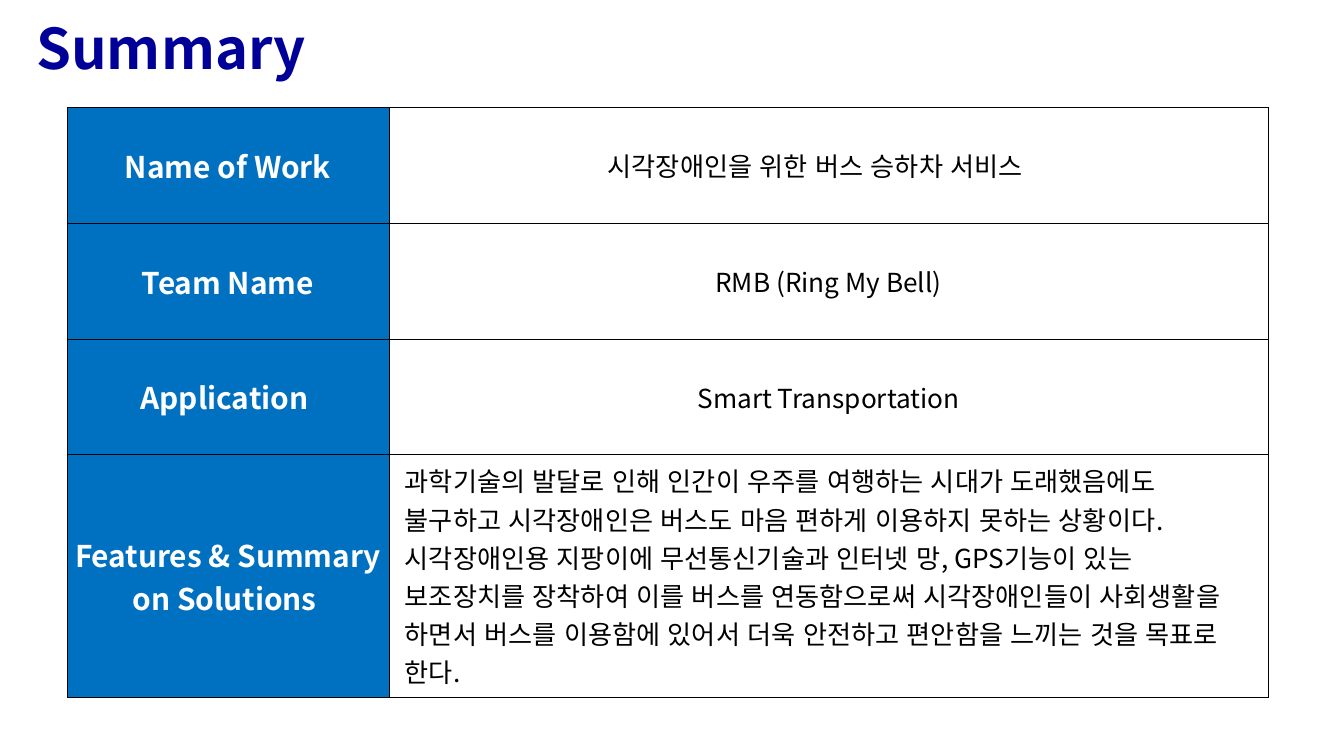
from dataclasses import dataclass
from lxml.etree import SubElement
from pptx import Presentation
from pptx.dml.color import RGBColor
from pptx.enum.lang import MSO_LANGUAGE_ID
from pptx.enum.text import MSO_ANCHOR, MSO_AUTO_SIZE, PP_ALIGN
from pptx.oxml import parse_xml
from pptx.oxml.ns import nsdecls, qn
from pptx.util import Inches, Pt


@dataclass(frozen=True)
class Theme:
    title: str = "000099"
    label: str = "0070C0"
    light: str = "FFFFFF"
    dark: str = "000000"
    title_font: str = "Noto Sans CJK SC"
    body_font: str = "Noto Sans CJK KR"
    title_size: int = 30
    label_size: int = 16
    body_size: int = 14
    border: float = 0.23


theme = Theme()


def style(par, face, size, color, bold=False):
    """Format every run, with the same face for Latin and Korean text."""
    for run in par.runs:
        font = run.font
        font.name, font.size, font.bold = face, Pt(size), bold
        font.color.rgb = RGBColor.from_string(color)
        font.language_id = MSO_LANGUAGE_ID.KOREAN
        SubElement(font._element, qn("a:ea")).set("typeface", face)


def fill_cell(cell, text, back, color, size, bold, align, side):
    cell.text_frame.text = text
    cell.vertical_anchor = MSO_ANCHOR.MIDDLE
    cell.margin_left = cell.margin_right = Inches(side)
    cell.margin_top = cell.margin_bottom = Inches(0.05)
    for par in cell.text_frame.paragraphs:
        par.alignment = align
        style(par, theme.body_font, size, color, bold)
    cell.fill.solid()
    cell.fill.fore_color.rgb = RGBColor.from_string(back)
    props = cell._tc.get_or_add_tcPr()
    for spot, edge in enumerate(("lnL", "lnR", "lnT", "lnB")):
        props.insert(spot, parse_xml(
            f'<a:{edge} {nsdecls("a")} w="{int(Pt(theme.border))}"><a:solidFill>'
            f'<a:srgbClr val="{theme.dark}"/></a:solidFill></a:{edge}>'))


deck = Presentation()
deck.slide_width, deck.slide_height = Inches(9.99), Inches(5.62)
slide = deck.slides.add_slide(deck.slide_layouts[5])

title = slide.shapes.title
title.left, title.top = Inches(0.17), Inches(0.05)
title.width, title.height = Inches(3.15), Inches(0.6)
frame = title.text_frame
frame.text = "Summary"
frame.auto_size = MSO_AUTO_SIZE.NONE
frame.vertical_anchor = MSO_ANCHOR.TOP
frame.paragraphs[0].alignment = PP_ALIGN.LEFT
style(frame.paragraphs[0], theme.title_font, theme.title_size, theme.title, True)

features = (
    "과학기술의 발달로 인해 인간이 우주를 여행하는 시대가 도래했음에도 불구하고 "
    "시각장애인은 버스도 마음 편하게 이용하지 못하는 상황이다.\n"
    "시각장애인용 지팡이에 무선통신기술과 인터넷 망, GPS기능이 있는 보조장치를 "
    "장착하여 이를 버스를 연동함으로써 시각장애인들이 사회생활을 하면서 버스를 "
    "이용함에 있어서 더욱 안전하고 편안함을 느끼는 것을 목표로 한다.")
rows = [
    ("Name of Work", "시각장애인을 위한 버스 승하차 서비스　", 0.86, PP_ALIGN.CENTER),
    ("Team Name", "RMB (Ring My Bell)", 0.86, PP_ALIGN.CENTER),
    ("Application ", "Smart Transportation", 0.86, PP_ALIGN.CENTER),
    ("Features & Summary on Solutions ", features, 1.69, PP_ALIGN.LEFT),
]
table = slide.shapes.add_table(
    len(rows), 2, Inches(0.5), Inches(0.8), Inches(8.93), Inches(4.28)).table
table.first_row = table.horz_banding = False
for column, width in zip(table.columns, (2.39, 6.54)):
    column.width = Inches(width)
for index, (label, text, height, align) in enumerate(rows):
    table.rows[index].height = Inches(height)
    fill_cell(table.cell(index, 0), label, theme.label, theme.light,
              theme.label_size, True, PP_ALIGN.CENTER, 0.01)
    fill_cell(table.cell(index, 1), text, theme.light, theme.dark,
              theme.body_size, False, align, 0.12)

deck.save("out.pptx")
